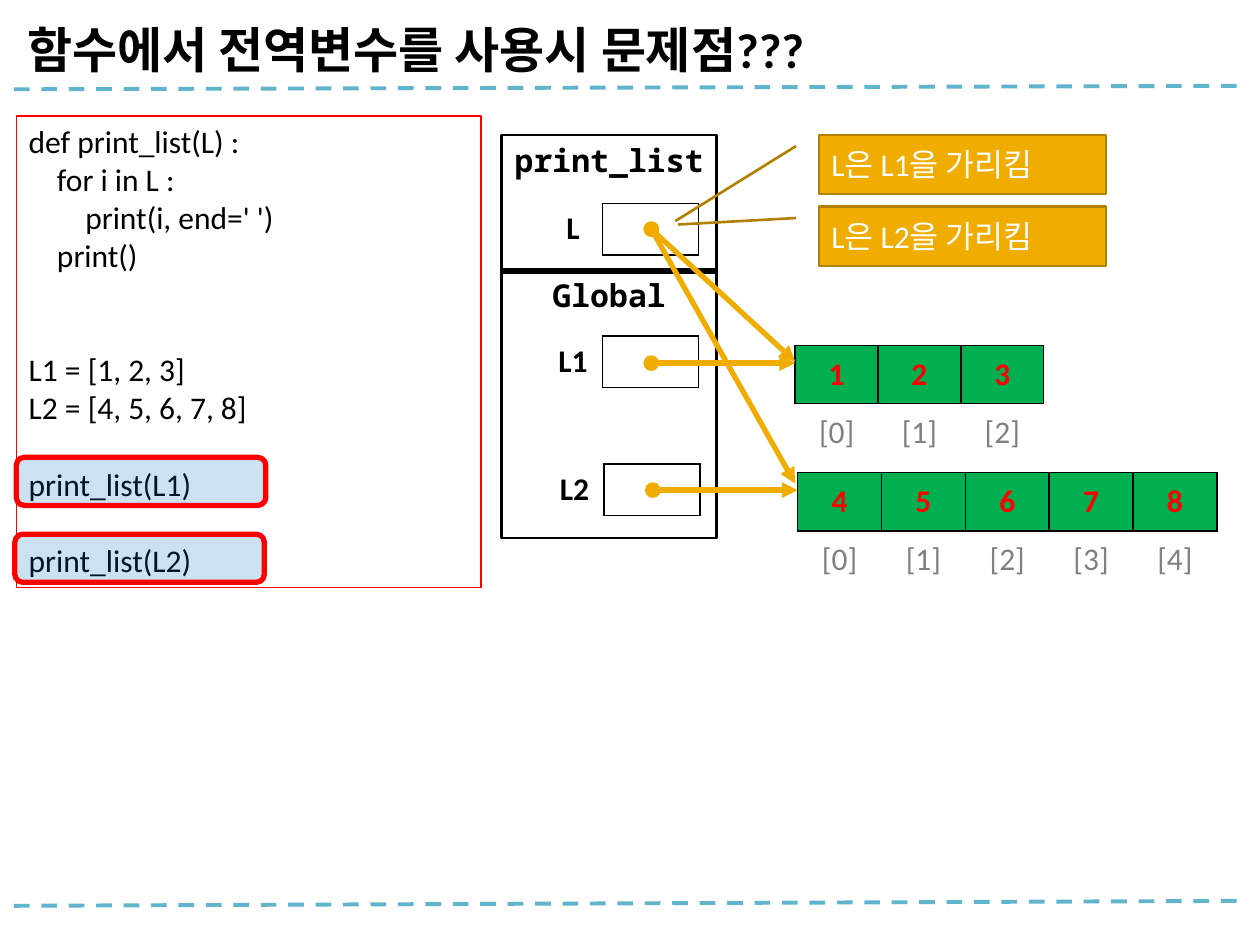
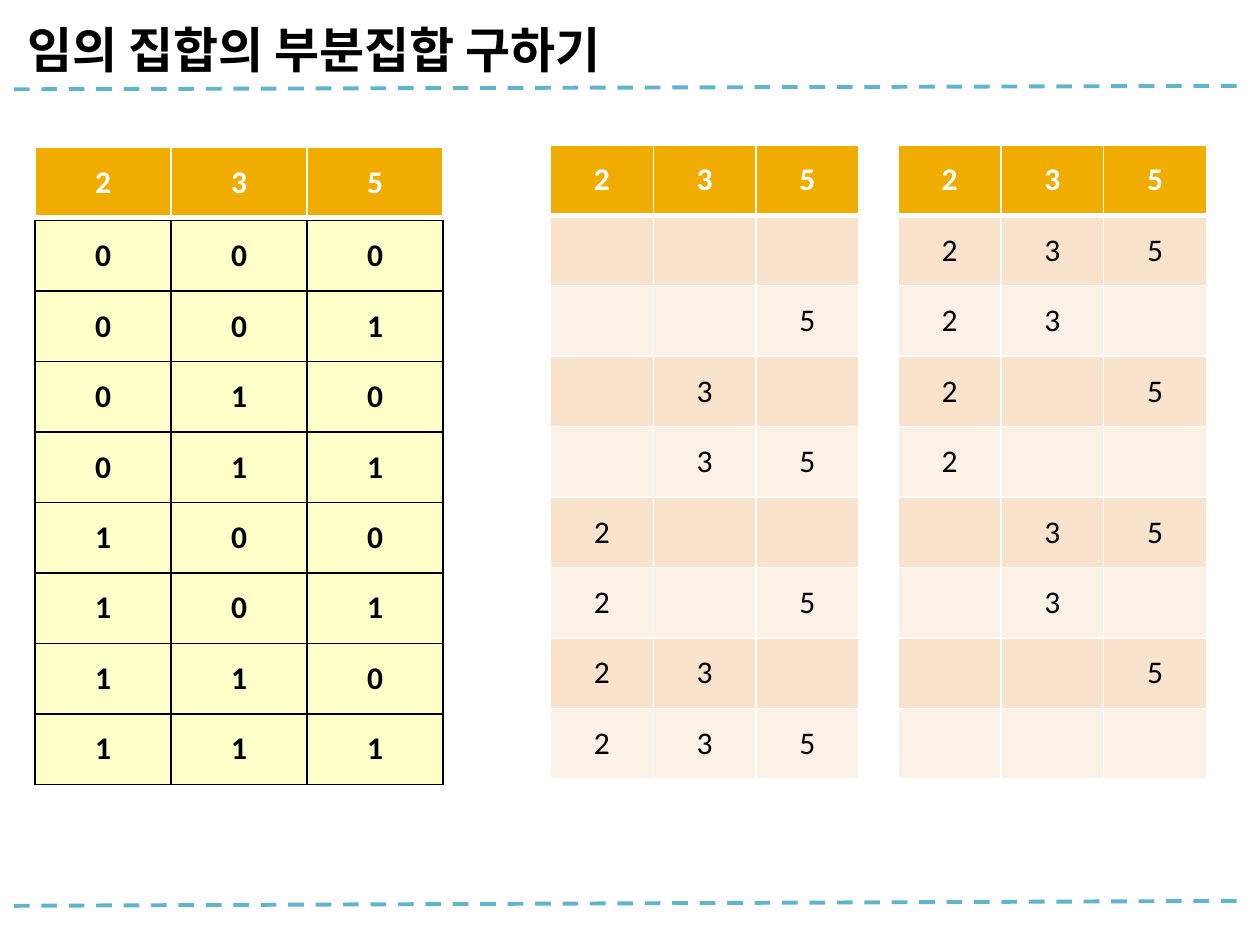
from dataclasses import dataclass
from itertools import product

from lxml import etree
from pptx import Presentation
from pptx import util as u
from pptx.dml import color as hue
from pptx.enum import dml, shapes, text
from pptx.oxml import ns

Cm, Pt = u.Cm, u.Pt
PLAIN = "{2D5ABB26-0587-4C30-8999-92F81FD0307C}"  # table style without grid
SIDES = ("L", "R", "T", "B")


@dataclass(frozen=True)
class Theme:
    font: str = "Calibri"
    mono: str = "Noto Sans Mono"
    head: int = 28
    body: int = 18
    ink: str = "000000"
    paper: str = "FFFFFF"
    rule: str = "60B5CC"
    gold: str = "F0AD00"
    bronze: str = "B28000"
    red: str = "FF0000"
    green: str = "00B050"
    blue: str = "0070C0"
    yellow: str = "FFFF00"
    gray: str = "808080"
    bands: tuple = ("F9E3CC", "FCF1E7")


THEME = Theme()
LEFT, MID = text.PP_ALIGN.LEFT, text.PP_ALIGN.CENTER


def rgb(code):
    return hue.RGBColor.from_string(code)


def child(node, tag, **attrs):
    return etree.SubElement(node, ns.qn(tag), **attrs)


def write(frame, lines, size=THEME.body, font=THEME.font, ink=THEME.ink,
          bold=False, align=LEFT, anchor=text.MSO_ANCHOR.MIDDLE):
    """Fill a frame; a line is a string or (string, indent in cm, space above in pt)."""
    frame.word_wrap = True
    frame.vertical_anchor = anchor
    for i, line in enumerate(lines):
        words, indent, above = (line, 0, 0) if isinstance(line, str) else line
        para = frame.paragraphs[0] if i == 0 else frame.add_paragraph()
        para.alignment = align
        para.space_before = Pt(above)
        if indent:
            para._p.get_or_add_pPr().set("marL", str(Cm(indent)))
        run = para.add_run()
        run.text = words
        run.font.size, run.font.name, run.font.bold = Pt(size), font, bold
        run.font.color.rgb = rgb(ink)


def paint(fill, code, alpha=None):
    """Solid fill, or none; alpha is a percentage."""
    if code is None:
        fill.background()
        return
    fill.solid()
    fill.fore_color.rgb = rgb(code)
    if alpha:
        node = fill._xPr.find(".//" + ns.qn("a:solidFill") + "/" + ns.qn("a:srgbClr"))
        if fill._xPr.find(ns.qn("a:solidFill")) is not None:
            node = fill._xPr.find(ns.qn("a:solidFill"))[0]
        child(node, "a:alpha", val=str(alpha * 1000))


def edge(cell, ink, **widths):
    """Draw cell borders; widths maps a side letter to points."""
    props = cell._tc.get_or_add_tcPr()
    for side in SIDES:
        if side in widths:
            line = child(props, "a:ln" + side, w=str(Pt(widths[side])))
            child(child(line, "a:solidFill"), "a:srgbClr", val=ink)


def box(width):
    return dict.fromkeys(SIDES, width)


class Deck:
    def __init__(self, theme):
        self.theme = theme
        self.show = Presentation()
        self.show.slide_width, self.show.slide_height = Cm(25.4), Cm(19.05)
        self.slide = None

    def page(self, title):
        """New slide with its two dashed rules and title."""
        t = self.theme
        self.slide = self.show.slides.add_slide(self.show.slide_layouts[5])
        for start, end in ((1.8, 1.73), (18.26, 18.16)):
            rule = self.line((0.28, start), (25.07, end), t.rule, 2.25)
            rule.line.dash_style = dml.MSO_LINE.DASH
        head = self.slide.shapes.title
        head.left, head.top, head.width, head.height = map(Cm, (0.3, 0, 24.8, 1.7))
        write(head.text_frame, [title], size=t.head, bold=True,
              anchor=text.MSO_ANCHOR.BOTTOM)
        head.text_frame.auto_size = text.MSO_AUTO_SIZE.NONE

    def line(self, start, end, ink, width):
        link = self.slide.shapes.add_connector(
            shapes.MSO_CONNECTOR.STRAIGHT, *map(Cm, start + end))
        link.line.color.rgb = rgb(ink)
        link.line.width = Pt(width)
        child(link._element.spPr, "a:effectLst")
        return link

    def arrow(self, start, end):
        """Pointer with a dot at its start and a triangle at its end."""
        node = self.line(start, end, self.theme.gold, 3).line._get_or_add_ln()
        child(node, "a:headEnd", type="oval")
        child(node, "a:tailEnd", type="triangle")

    def shape(self, kind, place, rim, width, fill=None, alpha=None,
              lines=(), **fmt):
        item = self.slide.shapes.add_shape(kind, *map(Cm, place))
        item.shadow.inherit = False
        paint(item.fill, fill, alpha)
        item.line.color.rgb = rgb(rim)
        item.line.width = Pt(width)
        write(item.text_frame, lines, **fmt)
        return item

    def grid(self, x, y, rows, wide, high, look):
        """Table; look(row, col) gives fill, alpha, ink, bold, and border of a cell."""
        wide = wide if isinstance(wide, tuple) else (wide,) * len(rows[0])
        frame = self.slide.shapes.add_table(
            len(rows), len(wide), Cm(x), Cm(y), Cm(sum(wide)), Cm(high * len(rows)))
        table = frame.table
        table._tbl.tblPr.find(ns.qn("a:tableStyleId")).text = PLAIN
        table.first_row = table.horz_banding = False
        for col, width in zip(table.columns, wide):
            col.width = Cm(width)
        for r, row in enumerate(rows):
            table.rows[r].height = Cm(high)
            for c, value in enumerate(row):
                cell, style = table.cell(r, c), look(r, c)
                cell.margin_left = cell.margin_right = 0
                cell.margin_top = cell.margin_bottom = 0
                cell.vertical_anchor = text.MSO_ANCHOR.MIDDLE
                edge(cell, style.get("rim", self.theme.ink), **style.get("edges", {}))
                paint(cell.fill, style.get("fill"), style.get("alpha"))
                if value != "":
                    write(cell.text_frame, [str(value)], align=MID,
                          ink=style.get("ink", self.theme.ink),
                          bold=style.get("bold", False))


# Cell styles
def array_look(r, c):
    if r == 0:
        return dict(fill=THEME.green, ink=THEME.red, bold=True, edges=box(1))
    return dict(ink=THEME.gray, edges=dict(T=1))


def name_look(r, c):
    return dict(bold=True, edges=box(1) if c else dict(R=1))


def bit_look(r, c):
    return dict(fill=THEME.yellow, alpha=21, bold=True, edges=box(1))


def set_look(r, c):
    if r == 0:
        return dict(fill=THEME.gold, ink=THEME.paper, bold=True,
                    rim=THEME.paper, edges=box(1) | dict(B=3))
    return dict(fill=THEME.bands[(r - 1) % 2], rim=THEME.paper,
                edges=box(1) | dict(T=3 if r == 1 else 1))


def scope_page(deck):
    t, kind = deck.theme, shapes.MSO_SHAPE
    deck.page("함수에서 전역변수를 사용시 문제점???")

    # Code, with the two calls marked
    tab, blank = 0.57, 22
    code = ["def print_list(L) :", ("for i in L :", tab, 0),
            ("print(i, end=' ')", 2 * tab, 0), ("print()", tab, 0),
            ("L1 = [1, 2, 3]", 0, 2 * blank), "L2 = [4, 5, 6, 7, 8]",
            ("print_list(L1)", 0, blank), ("print_list(L2)", 0, blank)]
    deck.shape(kind.RECTANGLE, (0.33, 2.34, 9.37, 9.5), t.red, 0.75,
               lines=code, anchor=text.MSO_ANCHOR.TOP)
    for x, y in ((0.33, 9.22), (0.3, 10.77)):
        deck.shape(kind.ROUNDED_RECTANGLE, (x, y, 5.03, 0.97), t.red, 3,
                   fill=t.blue, alpha=20)

    # Scopes and their variables
    for name, y, high in (("Global", 5.44, 5.41), ("print_list", 2.72, 2.77)):
        deck.shape(kind.RECTANGLE, (10.11, y, 4.34, high), t.ink, 1.5,
                   lines=[name], font=t.mono, bold=True, align=MID,
                   anchor=text.MSO_ANCHOR.TOP)
    for name, x, y in (("L", 10.95, 4.1), ("L1", 10.95, 6.77), ("L2", 10.98, 9.35)):
        deck.grid(x, y, [(name, "")], (1.2, 1.93), 1.04, name_look)

    # Lists with their indexes
    for x, y, wide, items in ((16.03, 6.96, 1.67, (1, 2, 3)),
                              (16.08, 9.53, 1.69, (4, 5, 6, 7, 8))):
        index = [f"[{i}]" for i in range(len(items))]
        deck.grid(x, y, [items, index], wide, 1.17, array_look)

    # Pointers
    local = (13.13, 4.62)
    for start, end in (((13.13, 7.32), (16.03, 7.32)), (local, (16.03, 7.29)),
                       ((13.16, 9.88), (16.08, 9.88)), (local, (16.03, 9.75))):
        deck.arrow(start, end)

    # Callouts
    for note, y, tip in (("L은 L1을 가리킴", 2.72, (1.46, -0.5)),
                         ("L은 L2을 가리킴", 4.17, (0.3, -0.49))):
        call = deck.shape(kind.LINE_CALLOUT_1, (16.51, y, 5.79, 1.19), t.bronze, 1.5,
                          fill=t.gold, lines=[note], ink=t.paper)
        for i, value in enumerate((0.19, -0.08) + tip):
            call.adjustments[i] = value


def subset_page(deck):
    deck.page("임의 집합의 부분집합 구하기")
    items = (2, 3, 5)
    bits = list(product((0, 1), repeat=len(items)))

    # Bit patterns
    deck.grid(0.71, 2.97, [items], 2.74, 1.42, set_look)
    deck.grid(0.71, 4.45, bits, 2.74, 1.42, bit_look)

    # Subsets picked by the ones, then by the zeros
    for x, pick in ((11.1, 1), (18.11, 0)):
        sets = [[n if bit == pick else "" for n, bit in zip(items, row)]
                for row in bits]
        deck.grid(x, 2.92, [items] + sets, 2.07, 1.42, set_look)


def main():
    deck = Deck(THEME)
    scope_page(deck)
    subset_page(deck)
    deck.show.save("out.pptx")


if __name__ == "__main__":
    main()
